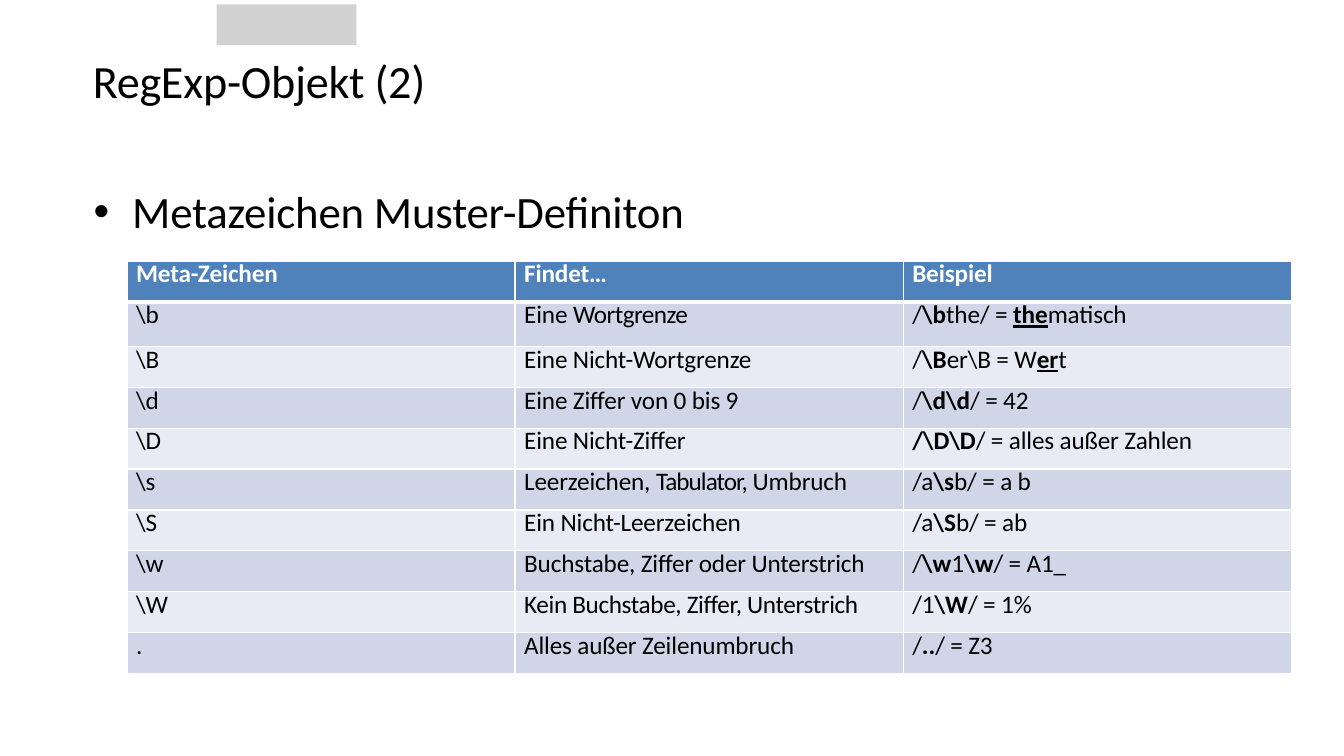
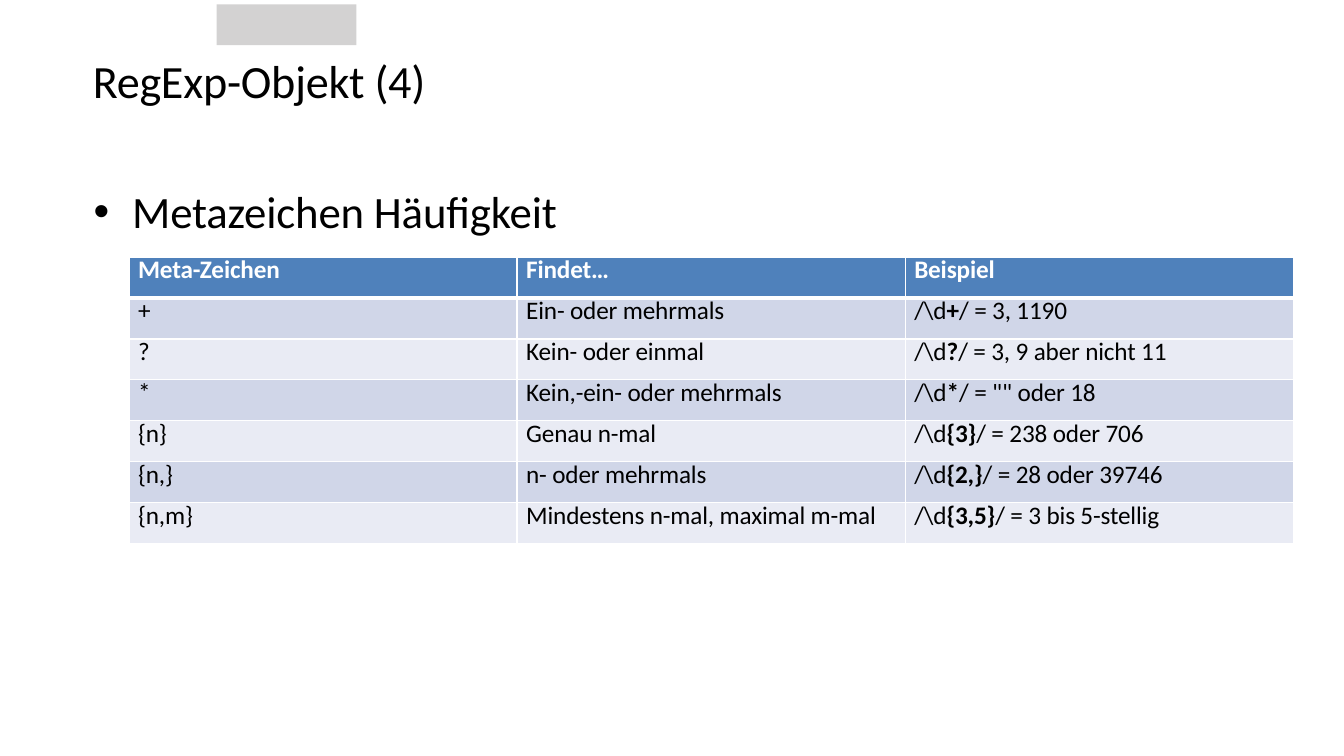
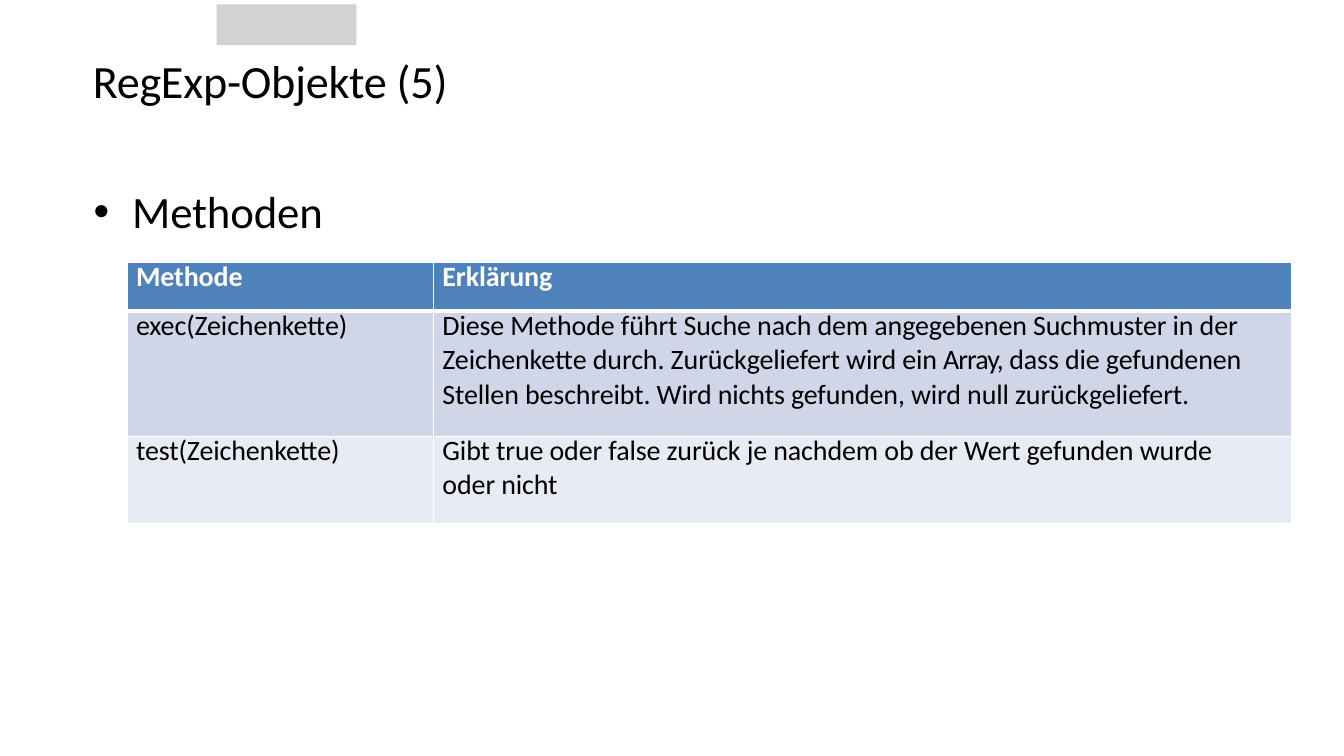
from pptx import Presentation
from pptx.dml.color import RGBColor
from pptx.enum.shapes import MSO_SHAPE
from pptx.enum.text import MSO_ANCHOR, MSO_AUTO_SIZE, PP_ALIGN
from pptx.oxml.ns import qn
from pptx.util import Cm, Pt
from lxml import etree

RECTANGLE = MSO_SHAPE.RECTANGLE
TOP = MSO_ANCHOR.TOP
GROW = MSO_AUTO_SIZE.SHAPE_TO_FIT_TEXT
LEFT = PP_ALIGN.LEFT

BLACK = RGBColor(0x00, 0x00, 0x00)
WHITE = RGBColor(0xFF, 0xFF, 0xFF)
BAND_GREY = RGBColor(0xD3, 0xD2, 0xD2)
HEADER_BLUE = RGBColor(0x4F, 0x81, 0xBB)
ROW_DARK = RGBColor(0xD0, 0xD6, 0xE8)
ROW_LIGHT = RGBColor(0xE9, 0xEB, 0xF4)

FONT = "Calibri"
TEXT_LEFT = Cm(2.34)
ROW_HEIGHT = 1.03
THIRDS = [9.78] * 3

# Formats for single spans inside a cell
BOLD = {"bold": True}
MATCH = {"bold": True, "underline": True}
TIGHT = {"spacing": -0.7}

PATTERN_ROWS = [
    ["Meta-Zeichen", "Findet…", "Beispiel"],
    ["\\b", ["Eine ", ("Wortgrenze", {"spacing": -0.4})],
     ["/", ("\\b", BOLD), "the/ = ", ("the", MATCH), "matisch"]],
    ["\\B", "Eine Nicht-Wortgrenze",
     ["/", ("\\B", BOLD), "er\\B = W", ("er", MATCH), "t"]],
    ["\\d", "Eine Ziffer von 0 bis 9", ["/", ("\\d\\d", BOLD), "/ = 42"]],
    ["\\D", "Eine Nicht-Ziffer",
     [("/\\D\\D", BOLD), "/ = alles außer Zahlen"]],
    ["\\s", ["Leerzeichen, ", ("Tabulator, ", TIGHT), "Umbruch"],
     ["/a", ("\\s", BOLD), "b/ = a b"]],
    ["\\S", "Ein Nicht-Leerzeichen", ["/a", ("\\S", BOLD), "b/ = ab"]],
    ["\\w", "Buchstabe, Ziffer oder Unterstrich",
     ["/", ("\\w", BOLD), "1", ("\\w", BOLD), "/ = A1_"]],
    ["\\W", [("Kein Buchstabe, Ziffer, Unterstrich", {"spacing": -0.25})],
     ["/1", ("\\W", BOLD), "/ = 1%"]],
    [".", "Alles außer Zeilenumbruch", ["/", ("..", BOLD), "/ = Z3"]],
]

QUANTITY_ROWS = [
    ["Meta-Zeichen", "Findet…", "Beispiel"],
    ["+", "Ein- oder mehrmals", ["/\\d", ("+", BOLD), "/ = 3, 1190"]],
    ["?", "Kein- oder einmal",
     ["/\\d", ("?", BOLD), "/ = 3, 9 aber nicht 11"]],
    ["*", "Kein,-ein- oder mehrmals",
     ["/\\d", ("*", BOLD), "/ = \"\" oder 18"]],
    ["{n}", "Genau n-mal", ["/\\d", ("{3}", BOLD), "/ = 238 oder 706"]],
    ["{n,}", "n- oder mehrmals",
     ["/\\d", ("{2,}", BOLD), "/ = 28 oder 39746"]],
    ["{n,m}", "Mindestens n-mal, maximal m-mal",
     ["/\\d", ("{3,5}", BOLD), "/ = 3 bis 5-stellig"]],
]

METHOD_ROWS = [
    ["Methode", "Erklärung"],
    ["exec(Zeichenkette)",
     ["Diese Methode führt Suche nach dem angegebenen Suchmuster in der\n",
      "Zeichenkette durch. Zurückgeliefert wird ein ", ("Array, ", TIGHT),
      "dass die gefundenen Stellen beschreibt. Wird nichts gefunden, "
      "wird null zurückgeliefert."]],
    ["test(Zeichenkette)",
     ["Gibt true oder false zurück je nachdem ob der Wert gefunden wurde\n",
      "oder nicht"]],
]


def add_span(para, text, size=18, color=BLACK, bold=False, underline=False,
             spacing=-0.1):
    span = para.add_run()
    span.text = text
    font = span.font
    font.name, font.size, font.bold = FONT, Pt(size), bold
    font.underline = underline
    font.color.rgb = color
    font._element.set("spc", str(round(spacing * 100)))


def write_text(frame, content, line_spacing=None, space_before=0, **style):
    """Write a string or a list of spans; a span ending in a newline ends its paragraph."""
    para = frame.paragraphs[0]
    para.alignment = LEFT
    para.space_before = Pt(space_before)
    if line_spacing:
        para.line_spacing = Pt(line_spacing)
    for part in [content] if isinstance(content, str) else content:
        text, extra = (part, {}) if isinstance(part, str) else part
        add_span(para, text.rstrip("\n"), **{**style, **extra})
        if text.endswith("\n"):
            para = frame.add_paragraph()
            para.alignment = LEFT


def fill_placeholder(box, text, top, width, height, **style):
    box.left, box.top = TEXT_LEFT, Cm(top)
    box.width, box.height = Cm(width), Cm(height)
    frame = box.text_frame
    frame.margin_left = frame.margin_right = frame.margin_bottom = 0
    frame.margin_top = Cm(0.03)
    frame.vertical_anchor = TOP
    frame.word_wrap = True
    frame.auto_size = GROW
    write_text(frame, text, **style)


def add_layout_band(layout, page):
    """Draw the grey band and move it to the layout, where all pages share it."""
    band = page.shapes.add_shape(RECTANGLE, Cm(5.46), Cm(0.11), Cm(3.52), Cm(1.03))
    band.shadow.inherit = False
    band.fill.solid()
    band.fill.fore_color.rgb = BAND_GREY
    band.line.fill.background()
    layout.element.cSld.spTree.append(band.element)


def set_borders(cell, top=1, bottom=1):
    properties = cell._tc.get_or_add_tcPr()
    for side, points in (("L", 1), ("R", 1), ("T", top), ("B", bottom)):
        line = etree.SubElement(properties, qn(f"a:ln{side}"), w=str(Pt(points)))
        fill = etree.SubElement(line, qn("a:solidFill"))
        etree.SubElement(fill, qn("a:srgbClr"), val=str(WHITE))


def add_grid(page, rows, left, top, widths, heights, size, line_spacing):
    frame = page.shapes.add_table(len(rows), len(widths), Cm(left), Cm(top),
                                  Cm(sum(widths)), Cm(sum(heights)))
    table = frame.table
    table.horz_banding = False
    for column, width in zip(table.columns, widths):
        column.width = Cm(width)
    for index, (row, height) in enumerate(zip(table.rows, heights)):
        row.height = Cm(height)
        header = index == 0
        color = HEADER_BLUE if header else ROW_DARK if index % 2 else ROW_LIGHT
        for cell, content in zip(row.cells, rows[index]):
            cell.margin_left = Cm(0.23)
            cell.margin_right = cell.margin_top = cell.margin_bottom = 0
            set_borders(cell, top=3 if index == 1 else 1, bottom=3 if header else 1)
            cell.fill.solid()
            cell.fill.fore_color.rgb = color
            write_text(cell.text_frame, content, line_spacing, size=size,
                       bold=header, color=WHITE if header else BLACK)


def add_page(deck, title, topic, title_width, topic_width):
    page = deck.slides.add_slide(deck.slide_layouts[1])
    fill_placeholder(page.shapes.title, title, 1.3, title_width, 1.47,
                     size=33, spacing=-0.2, space_before=1)
    body = page.placeholders[1]
    fill_placeholder(body, topic, 4.6, topic_width, 1.42,
                     size=32, spacing=-0.15, space_before=1.1)
    bullet = body.text_frame.paragraphs[0]._p.get_or_add_pPr()
    bullet.set("marL", str(Cm(0.99)))
    bullet.set("indent", str(-Cm(0.97)))
    return page


def main():
    deck = Presentation()
    deck.slide_width, deck.slide_height = Cm(33.87), Cm(19.05)

    page = add_page(deck, "RegExp-Objekt (2)", "Metazeichen Muster-Definiton", 8.48, 14.96)
    add_layout_band(deck.slide_layouts[1], page)
    add_grid(page, PATTERN_ROWS, 3.2, 6.58, THIRDS,
             [ROW_HEIGHT, 1.12] + [ROW_HEIGHT] * 8, 18, 20.4)

    page = add_page(deck, "RegExp-Objekt (4)", "Metazeichen Häufigkeit", 8.48, 11.71)
    add_grid(page, QUANTITY_ROWS, 3.25, 6.48, THIRDS, [ROW_HEIGHT] * 7, 18, 20.4)

    page = add_page(deck, "RegExp-Objekte (5)", "Methoden", 9.04, 5.87)
    add_grid(page, METHOD_ROWS, 3.2, 6.6, [7.72, 21.62], [1.24, 3.15, 2.21], 20, 22.8)

    deck.save("out.pptx")


if __name__ == "__main__":
    main()
